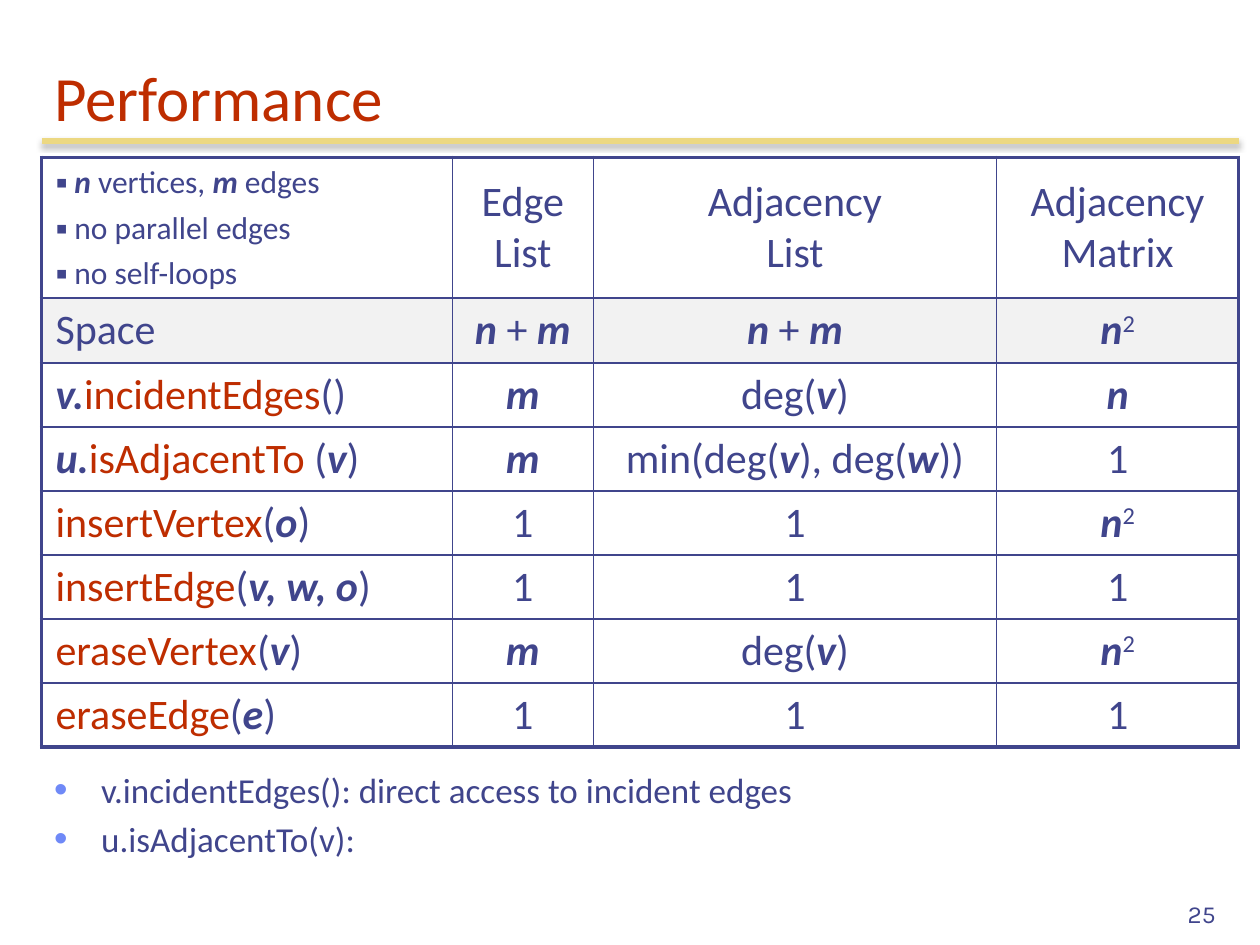
"""Build the slide comparing the performance of graph structures."""
import lxml.etree
import pptx
import pptx.dml.color
import pptx.enum.shapes
import pptx.enum.text
import pptx.oxml.ns
import pptx.util

Cm, Pt = pptx.util.Cm, pptx.util.Pt
ALIGN = pptx.enum.text.PP_ALIGN
ANCHOR = pptx.enum.text.MSO_ANCHOR

INK, RED, GOLD, BLUE, GREY = "40458C", "BE2D00", "ECD882", "6F89F7", "F2F2F2"
LEFT, WIDE = 0.84, 24.13

TITLE = "Performance"
FACTS = ["*n| vertices, |*m| edges", "no parallel edges", "no self-loops"]
HEADS = ["Edge|\n|List", "Adjacency|\n|List", "Adjacency Matrix"]
ROWS = [
    ["Space", "*n| + |*m", "*n| + |*m", "*n|^2"],
    ["*v.|~incidentEdges|()", "*m", "deg(|*v|)", "*n"],
    ["*u.|~isAdjacentTo |(|*v|)", "*m", "min(deg(|*v|), deg(|*w|))", "1"],
    ["~insertVertex|(|*o|)", "1", "1", "*n|^2"],
    ["~insertEdge|(|*v, w, o|)", "1", "1", "1"],
    ["~eraseVertex|(|*v|)", "*m", "deg(|*v|)", "*n|^2"],
    ["~eraseEdge|(|*e|)", "1", "1", "1"],
]
NOTES = ["v.incidentEdges(): direct access to incident edges", "u.isAdjacentTo(v):"]
PAGE = "25"
COLS = [8.28, 2.84, 8.13, 4.88]
HIGH = [2.84, 1.31] + [1.29] * 6

CELL = {"margin_left": Cm(0.28), "margin_right": Cm(0.28),
        "margin_top": Cm(0.13), "margin_bottom": Cm(0.13)}
PLAIN = {"first_row": False, "horz_banding": False}


def put(item, vals):
    for key, val in vals.items():
        setattr(item, key, val)


def tint(text):
    return pptx.dml.color.RGBColor.from_string(text)


def node(base, tag, **vals):
    return lxml.etree.SubElement(base, pptx.oxml.ns.qn("a:" + tag), vals)


def dot(para, sign, color, gap):
    props = para._p.get_or_add_pPr()
    put_at = str(Cm(gap))
    props.set("marL", put_at)
    props.set("indent", "-" + put_at)
    node(node(props, "buClr"), "srgbClr", val=color)
    node(props, "buSzPct", val="110000")
    node(props, "buFont", typeface="Arial")
    node(props, "buChar", char=sign)


def write(frame, lines, size, color=INK, face="Calibri", align=ALIGN.LEFT, mark=None):
    frame.word_wrap = True
    for num, line in enumerate(lines):
        para = frame.add_paragraph() if num else frame.paragraphs[0]
        if mark:
            dot(para, *mark)
        put(para, {"alignment": align, "space_before": Pt(4 if num else 0)})
        for piece in line.split("|"):
            if piece == "\n":
                para.add_line_break()
                continue
            sign = piece[0] if piece[0] in "*~^" else ""
            run = para.add_run()
            run.text = piece[len(sign):]
            put(run.font, {"name": face, "size": Pt(size),
                           "bold": sign == "*", "italic": sign == "*"})
            run.font.color.rgb = tint(RED if sign == "~" else color)
            if sign == "^":
                run._r.get_or_add_rPr().set("baseline", "30000")


def label(slide, spot, lines, size, anchor=ANCHOR.TOP, **style):
    frame = slide.shapes.add_textbox(*map(Cm, spot)).text_frame
    frame.vertical_anchor = anchor
    write(frame, lines, size, **style)


def rule(slide, top):
    line = slide.shapes.add_connector(
        pptx.enum.shapes.MSO_CONNECTOR.STRAIGHT,
        Cm(LEFT), Cm(top), Cm(LEFT + WIDE), Cm(top))
    line.line.width = Pt(3)
    line.line.color.rgb = tint(GOLD)
    glow = node(node(line._element.spPr, "effectLst"), "outerShdw",
                blurRad=str(Pt(3.1)), dist=str(Pt(1.8)), dir="5400000")
    node(node(glow, "srgbClr", val="000000"), "alpha", val="35000")


def edge(cell, row, col):
    outer = {"lnL": col == 0, "lnR": col == len(COLS) - 1,
             "lnT": row == 0, "lnB": row == len(HIGH) - 1}
    for tag, thick in outer.items():
        line = node(cell._tc.get_or_add_tcPr(), tag, w=str(Pt(2.25 if thick else 1)))
        node(node(line, "solidFill"), "srgbClr", val=INK)


def grid(slide, top):
    table = slide.shapes.add_table(len(HIGH), len(COLS), Cm(LEFT), Cm(top),
                                   Cm(WIDE), Cm(sum(HIGH))).table
    put(table, PLAIN)
    for col, size in zip(table.columns, COLS):
        col.width = Cm(size)
    for row, size in zip(table.rows, HIGH):
        row.height = Cm(size)
    for y, texts in enumerate([[None] + HEADS] + ROWS):
        for x, text in enumerate(texts):
            cell = table.cell(y, x)
            edge(cell, y, x)
            put(cell, CELL)
            if y == 1:
                cell.fill.solid()
                cell.fill.fore_color.rgb = tint(GREY)
            else:
                cell.fill.background()
            if text is None:
                write(cell.text_frame, FACTS, 18, mark=("▪", INK, 0.38))
            else:
                cell.vertical_anchor = ANCHOR.MIDDLE
                write(cell.text_frame, [text], 24,
                      align=ALIGN.CENTER if x else ALIGN.LEFT)


def main():
    deck = pptx.Presentation()
    put(deck, {"slide_width": Cm(25.4), "slide_height": Cm(19.05)})
    slide = deck.slides.add_slide(deck.slide_layouts[6])
    rule(slide, 2.84)
    label(slide, (LEFT, 0.84, WIDE, 1.98), [TITLE], 36, ANCHOR.BOTTOM, color=RED)
    grid(slide, 3.17)
    label(slide, (19.48, 17.58, 5.28, 1.27), [PAGE], 14, ANCHOR.BOTTOM,
          face="Karla", align=ALIGN.RIGHT)
    label(slide, (LEFT, 15.37, WIDE, 3.02), NOTES, 20, mark=("•", BLUE, 0.95))
    deck.save("out.pptx")


if __name__ == "__main__":
    main()
